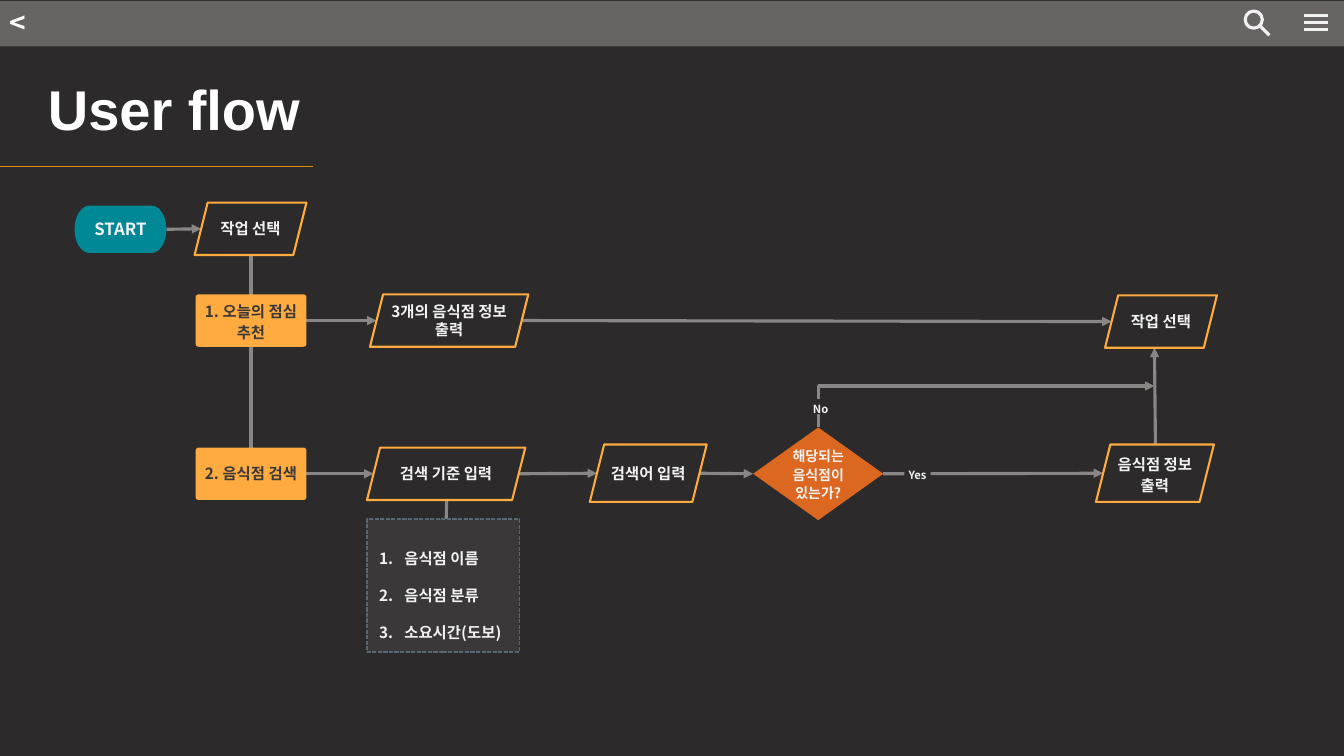
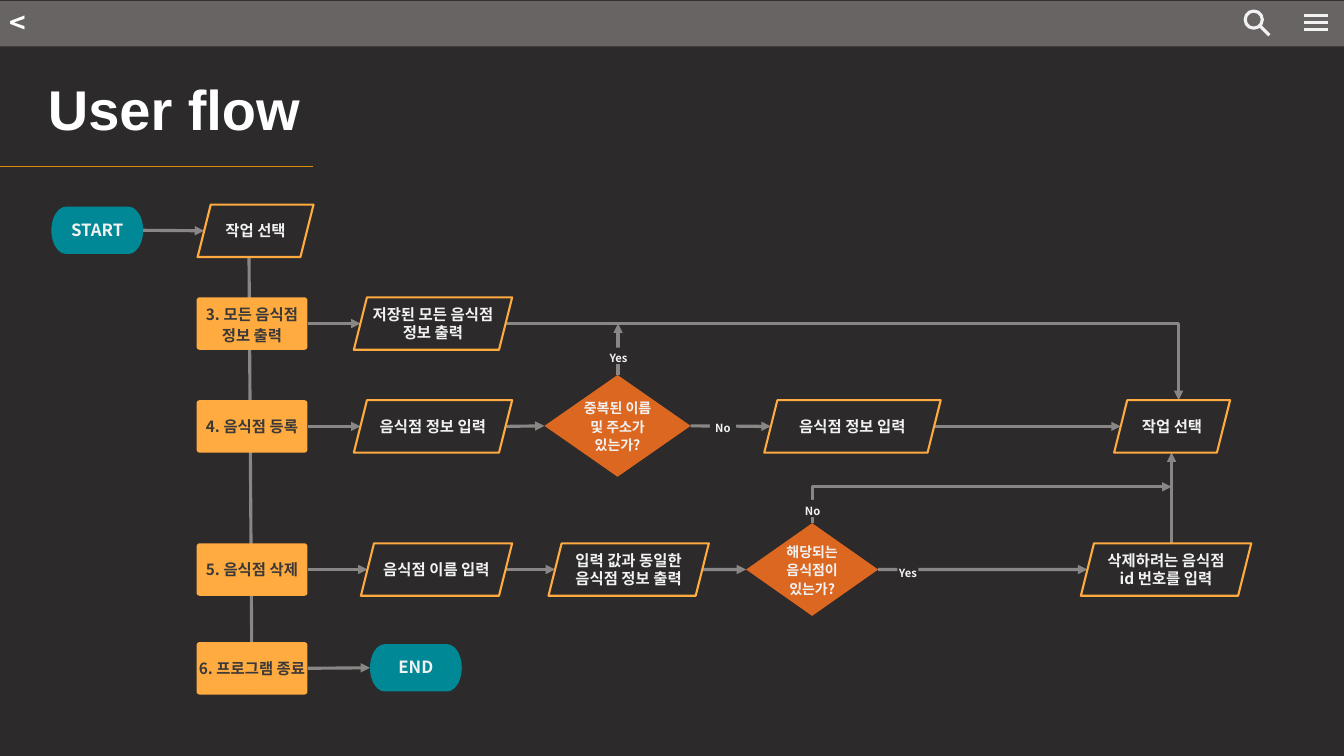
from lxml.etree import SubElement
from pptx import Presentation
from pptx.dml.color import RGBColor
from pptx.enum.dml import MSO_LINE
from pptx.enum.shapes import MSO_CONNECTOR, MSO_SHAPE
from pptx.enum.text import MSO_ANCHOR, PP_ALIGN
from pptx.oxml.ns import qn
from pptx.util import Inches, Pt


class Theme:
    bg, bar, rule = "2C2A2A", "686464", "DE8D08"
    arrow, teal, amber, orange = "8A8686", "008896", "FFAB40", "DC6721"
    panel, dash, light, white = "3A3838", "566871", "F2F2F2", "FFFFFF"
    title_font, font = "Arial", "Noto Sans CJK KR"
    title, back, terminal, body, decision, label = 40, 20, 12, 11, 10, 8
    flow, outline, hair = 2.25, 1.5, 1
    leading = 13


KINDS = {
    "terminal": (MSO_SHAPE.FLOWCHART_TERMINATOR, Theme.teal, None, Theme.light, Theme.terminal),
    "choice": (MSO_SHAPE.ROUNDED_RECTANGLE, Theme.amber, None, Theme.panel, Theme.body),
    "io": (MSO_SHAPE.PARALLELOGRAM, None, Theme.amber, Theme.light, Theme.body),
    "decision": (MSO_SHAPE.DIAMOND, Theme.orange, None, Theme.light, Theme.decision),
    "label": (MSO_SHAPE.RECTANGLE, Theme.bg, None, Theme.light, Theme.label),
}

TITLE = "User flow"

FLOWS = [
    {
        "nodes": {
            "start": ("terminal", "START", 0.74, 2.04, 0.91, 0.47),
            "select": ("io", "작업 선택", 1.93, 2.01, 1.11, 0.52),
            "today": ("choice", "1. 오늘의 점심 추천", 1.94, 2.92, 1.1, 0.52, 15),
            "search": ("choice", "2. 음식점 검색", 1.94, 4.44, 1.1, 0.52),
            "three": ("io", "3개의 음식점 정보 출력", 3.67, 2.92, 1.57, 0.52),
            "criteria": ("io", "검색 기준 입력", 3.64, 4.44, 1.57, 0.52),
            "keyword": ("io", "검색어 입력", 5.85, 4.41, 1.16, 0.57),
            "exists": ("decision", "해당되는 음식점이 있는가?", 7.47, 4.24, 1.29, 0.92),
            "info": ("io", "음식점 정보 출력", 10.87, 4.41, 1.17, 0.57, 15),
            "again": ("io", "작업 선택", 10.96, 2.93, 1.11, 0.52),
            "yes": ("label", "Yes", 8.97, 4.6, 0.26, 0.18),
            "no": ("label", "No", 8.01, 3.96, 0.26, 0.15),
        },
        "links": [("start", "select"), ("today", "three"), ("three", "again"),
                  ("search", "criteria"), ("criteria", "keyword"),
                  ("keyword", "exists"), ("exists", "info")],
        "verticals": [(2.49, 2.53, 2.49, 4.95), (4.43, 4.95, 4.4, 6.47),
                      (11.46, 4.41, 11.45, 3.45)],
        "rise_then_right": [(8.12, 4.24, 11.45, 3.83)],
        "right_then_down": [],
        "criteria_list": ["음식점 이름", "음식점 분류", "소요시간(도보)"],
    },
    {
        "nodes": {
            "start": ("terminal", "START", 0.51, 2.05, 0.91, 0.47),
            "select": ("io", "작업 선택", 1.96, 2.03, 1.15, 0.52),
            "all": ("choice", "3. 모든 음식점 정보 출력", 1.95, 2.95, 1.1, 0.52, 15),
            "register": ("choice", "4. 음식점 등록", 1.95, 3.97, 1.1, 0.52),
            "delete": ("choice", "5. 음식점 삭제", 1.95, 5.39, 1.1, 0.52),
            "quit": ("choice", "6. 프로그램 종료", 1.95, 6.37, 1.1, 0.52),
            "saved": ("io", "저장된 모든 음식점 정보 출력", 3.51, 2.95, 1.57, 0.52),
            "entry": ("io", "음식점 정보 입력", 3.51, 3.97, 1.57, 0.52),
            "duplicate": ("decision", "중복된 이름 및 주소가 있는가?", 5.4, 3.72, 1.45, 1.01),
            "details": ("io", "음식점 정보 입력", 7.58, 3.97, 1.75, 0.52),
            "again": ("io", "작업 선택", 11.05, 3.97, 1.15, 0.52),
            "name": ("io", "음식점 이름 입력", 3.58, 5.39, 1.5, 0.52),
            "matches": ("io", "입력 값과 동일한 음식점 정보 출력", 5.44, 5.39, 1.59, 0.52),
            "exists": ("decision", "해당되는 음식점이 있는가?", 7.4, 5.19, 1.31, 0.92),
            "number": ("io", "삭제하려는 음식점 id 번호를 입력", 10.72, 5.39, 1.69, 0.52),
            "end": ("terminal", "END", 3.67, 6.39, 0.91, 0.47),
            "duplicate_no": ("label", "No", 7.04, 4.1, 0.26, 0.25),
            "duplicate_yes": ("label", "Yes", 6.03, 3.45, 0.21, 0.16),
            "exists_yes": ("label", "Yes", 8.9, 5.58, 0.21, 0.16),
            "exists_no": ("label", "No", 7.93, 4.96, 0.26, 0.17),
        },
        "links": [("start", "select"), ("all", "saved"), ("register", "entry"),
                  ("entry", "duplicate"), ("duplicate", "details"),
                  ("details", "again"), ("delete", "name"), ("name", "matches"),
                  ("matches", "exists"), ("exists", "number"), ("quit", "end")],
        "verticals": [(2.47, 2.55, 2.5, 6.89), (11.62, 5.39, 11.62, 4.49),
                      (6.13, 3.72, 6.13, 3.21)],
        "rise_then_right": [(8.06, 5.19, 11.62, 4.83)],
        "right_then_down": [(5.01, 3.21, 11.69, 3.97)],
        "criteria_list": [],
    },
]


def rgb(code):
    return RGBColor.from_string(code)


def add_run(p, text, size, color, font=Theme.font):
    r = p.add_run()
    r.text = text
    r.font.size, r.font.bold, r.font.name = Pt(size), True, font
    r.font.color.rgb = rgb(color)
    SubElement(r._r.get_or_add_rPr(), qn("a:ea")).set("typeface", font)


def add_box(shapes, kind, box, fill=None, line=None, width=Theme.outline):
    sp = shapes.add_shape(kind, *map(Inches, box))
    sp.shadow.inherit = False
    if fill:
        sp.fill.solid()
        sp.fill.fore_color.rgb = rgb(fill)
    else:
        sp.fill.background()
    if line:
        sp.line.color.rgb = rgb(line)
        sp.line.width = Pt(width)
    else:
        sp.line.fill.background()
    return sp


def add_line(shapes, points, color=Theme.arrow, width=Theme.flow, arrow=False,
             kind=MSO_CONNECTOR.STRAIGHT):
    c = shapes.add_connector(kind, *map(Inches, points))
    c.line.color.rgb = rgb(color)
    c.line.width = Pt(width)
    if arrow:
        SubElement(c.line._get_or_add_ln(), qn("a:tailEnd")).set("type", "triangle")
    SubElement(c._element.spPr, qn("a:effectLst"))
    return c


def add_elbow(shapes, points, rise=False):
    x1, y1, x2, y2 = points
    if rise:
        cx, cy, w, h = (x1 + x2) / 2, (y1 + y2) / 2, abs(y2 - y1), abs(x2 - x1)
        points = cx - w / 2, cy - h / 2, cx + w / 2, cy + h / 2
    c = add_line(shapes, points, arrow=True, kind=MSO_CONNECTOR.ELBOW)
    spPr = c._element.spPr
    spPr.find(qn("a:prstGeom")).set("prst", "bentConnector2")
    if rise:
        for key, value in (("rot", "5400000"), ("flipH", "1"), ("flipV", "1")):
            spPr.find(qn("a:xfrm")).set(key, value)


def set_frame(sp, left=0.0):
    tf = sp.text_frame
    tf.word_wrap = True
    tf.vertical_anchor = MSO_ANCHOR.MIDDLE
    tf.margin_left, tf.margin_right = Inches(left), 0
    return tf


def add_node(shapes, kind, text, x, y, w, h, leading=Theme.leading):
    shape, fill, line, color, size = KINDS[kind]
    sp = add_box(shapes, shape, (x, y, w, h), fill, line)
    if kind == "choice":
        sp.adjustments[0] = 0.058
    p = set_frame(sp).paragraphs[0]
    p.alignment = PP_ALIGN.CENTER
    p.line_spacing = Pt(leading)
    add_run(p, text, size, color)


def side(node, right):
    kind, _, x, y, w, h = node[:6]
    slant = h / 8 if kind == "io" else 0
    return (x + w - slant if right else x + slant), y + h / 2


def add_criteria(shapes, items):
    sp = add_box(shapes, MSO_SHAPE.RECTANGLE, (3.64, 5.15, 1.51, 1.32),
                 Theme.panel, Theme.dash, Theme.hair)
    sp.line.dash_style = MSO_LINE.SQUARE_DOT
    tf = set_frame(sp, 0.12)
    for i, item in enumerate(items):
        p = tf.add_paragraph() if i else tf.paragraphs[0]
        p.alignment = PP_ALIGN.LEFT
        p.line_spacing = 2.0
        pPr = p._p.get_or_add_pPr()
        pPr.set("marL", str(Inches(0.25)))
        pPr.set("indent", str(-Inches(0.25)))
        SubElement(pPr, qn("a:buFont")).set("typeface", "+mj-lt")
        SubElement(pPr, qn("a:buAutoNum")).set("type", "arabicPeriod")
        add_run(p, item, Theme.body, Theme.light)


def add_text(shapes, box, text, size, font, wrap, align):
    tf = shapes.add_textbox(*map(Inches, box)).text_frame
    tf.word_wrap = wrap
    p = tf.paragraphs[0]
    p.alignment = align
    add_run(p, text, size, Theme.white, font)


def add_header(shapes):
    add_line(shapes, (0, 1.65, 3.1, 1.65), Theme.rule, Theme.hair)
    add_text(shapes, (0.36, 0.69, 2.73, 0.77), TITLE, Theme.title,
             Theme.title_font, False, PP_ALIGN.CENTER)
    add_box(shapes, MSO_SHAPE.RECTANGLE, (0, 0.01, 13.33, 0.45), Theme.bar)
    add_text(shapes, (0, 0.01, 0.35, 0.44), "<", Theme.back,
             Theme.font, True, PP_ALIGN.LEFT)
    menu = shapes.add_group_shape().shapes
    for i in range(3):
        y = 0.15 + 0.07 * i
        add_line(menu, (12.93, y, 13.17, y), Theme.light)
    lens = shapes.add_group_shape().shapes
    add_box(lens, MSO_SHAPE.OVAL, (12.35, 0.11, 0.17, 0.17), None, Theme.light, Theme.flow)
    add_line(lens, (12.49, 0.25, 12.59, 0.35), Theme.light)


def add_flow(shapes, flow):
    nodes = flow["nodes"]
    for points in flow["verticals"]:
        add_line(shapes, points, arrow=True)
    for a, b in flow["links"]:
        add_line(shapes, side(nodes[a], True) + side(nodes[b], False), arrow=True)
    for points in flow["rise_then_right"]:
        add_elbow(shapes, points, rise=True)
    for points in flow["right_then_down"]:
        add_elbow(shapes, points)
    for node in nodes.values():
        add_node(shapes, *node)
    if flow["criteria_list"]:
        add_criteria(shapes, flow["criteria_list"])


prs = Presentation()
prs.slide_width, prs.slide_height = Inches(13.33), Inches(7.5)
backdrop = prs.slide_master.background.fill
backdrop.solid()
backdrop.fore_color.rgb = rgb(Theme.bg)
for flow in FLOWS:
    s = prs.slides.add_slide(prs.slide_layouts[6])
    add_header(s.shapes)
    add_flow(s.shapes, flow)
prs.save("out.pptx")
